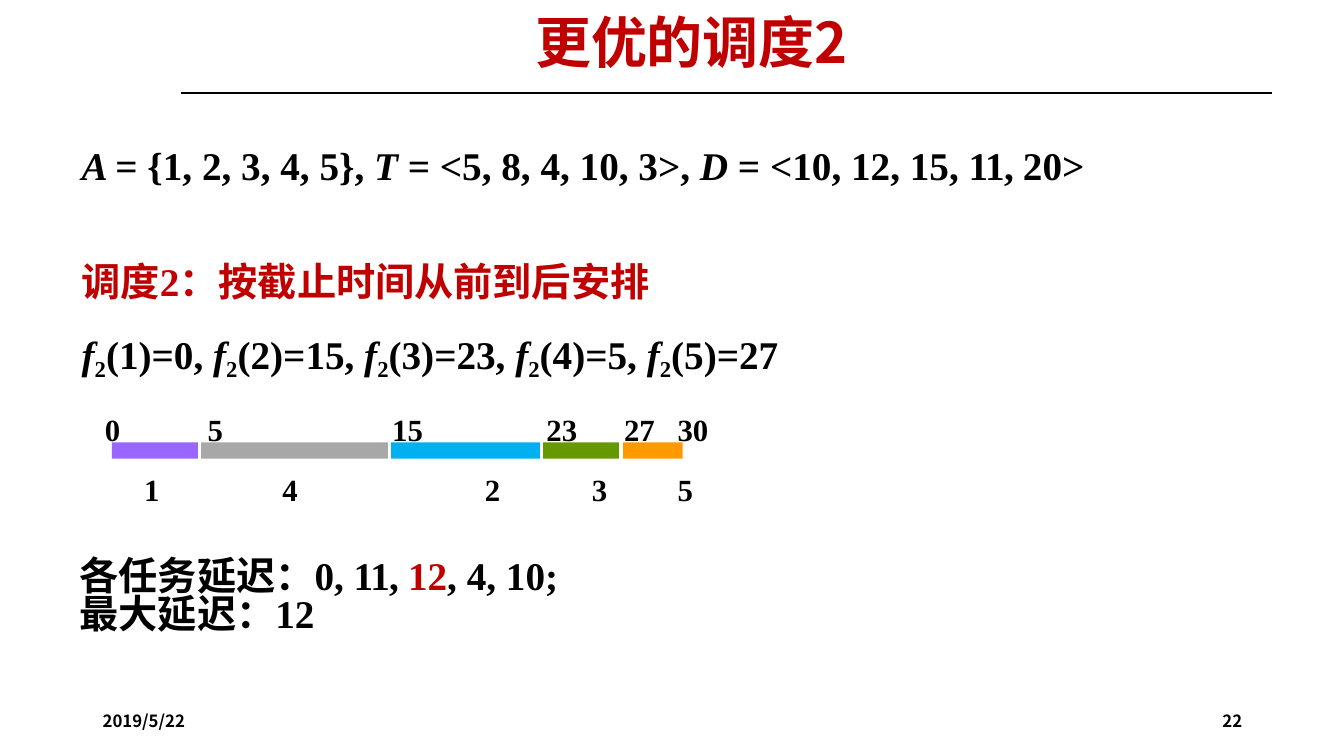
from itertools import pairwise
from lxml.etree import SubElement
from pptx import Presentation
from pptx.dml.color import RGBColor
from pptx.enum.shapes import MSO_CONNECTOR, MSO_SHAPE
from pptx.enum.text import MSO_ANCHOR, PP_ALIGN
from pptx.oxml.ns import qn
from pptx.util import Inches, Pt

SERIF = "Times New Roman"
SANS = "Noto Sans CJK SC"
RED = "C00000"


def color(value):
    return RGBColor.from_string(value)


def add_run(p, text, size=28, font=SERIF, fill="000000", italic=False, base=0, spc=0):
    r = p.add_run()
    r.text = text
    f = r.font
    f.size, f.bold, f.italic, f.name = Pt(size), True, italic, font
    f.color.rgb = color(fill)
    rPr = r._r.get_or_add_rPr()
    SubElement(rPr, qn("a:ea"), typeface=SANS)
    if base:
        rPr.set("baseline", str(base * 1000))
    if spc:
        rPr.set("spc", str(round(spc * 100)))


def add_paragraph(tf, runs, indent=0, line=None, before=0, align=PP_ALIGN.LEFT):
    p = tf.paragraphs[0] if not tf.paragraphs[0].runs else tf.add_paragraph()
    p.alignment = align
    p.space_before = Pt(before)
    if line:
        p.line_spacing = line
    pPr = p._p.get_or_add_pPr()
    pPr.set("marL", str(Inches(indent)))
    pPr.set("indent", "0")
    for text, fmt in runs:
        add_run(p, text, **fmt)


def add_text(s, x, y, w, h, margins=(0, 0, 0, 0), anchor=MSO_ANCHOR.TOP):
    tf = s.shapes.add_textbox(Inches(x), Inches(y), Inches(w), Inches(h)).text_frame
    tf.word_wrap = True
    tf.vertical_anchor = anchor
    tf.margin_left, tf.margin_top, tf.margin_right, tf.margin_bottom = map(Inches, margins)
    return tf


def add_line(s, x1, y1, x2, y2, stroke, width):
    line = s.shapes.add_connector(
        MSO_CONNECTOR.STRAIGHT, Inches(x1), Inches(y1), Inches(x2), Inches(y2))
    line.line.color.rgb = color(stroke)
    line.line.width = Pt(width)
    SubElement(line._element.spPr, qn("a:effectLst"))


def add_bar(s, left, right, fill):
    bar = s.shapes.add_shape(
        MSO_SHAPE.RECTANGLE, Inches(left), Inches(4.39), Inches(right - left), Inches(0.16))
    bar.shadow.inherit = False
    bar.fill.solid()
    bar.fill.fore_color.rgb = color(fill)
    bar.line.fill.background()


def add_labels(s, y, labels):
    for text, x in labels.items():
        tf = add_text(s, x, y, 0.4, 0.35)
        add_paragraph(tf, [(text, {"size": 22})])


def add_schedule(s):
    edges = [1.11, 1.98, 3.86, 5.37, 6.16, 6.77]
    fills = ["9966FF", "A7A8A7", "00B0F0", "669900", "FF9900"]
    for (left, right), fill in zip(pairwise(edges), fills):
        add_bar(s, left, right, fill)
    for x in edges[1:-1]:
        add_line(s, x, 4.36, x, 4.63, "FFFFFF", 2.28)
    add_labels(s, 4.07, {"0": 1.04, "5": 2.06, "15": 3.89, "23": 5.42, "27": 6.19, "30": 6.72})
    add_labels(s, 4.67, {"1": 1.43, "4": 2.8, "2": 4.81, "3": 5.87, "5": 6.72})


def add_body(s):
    tf = add_text(s, 0.78, 1.16, 11.81, 2.7, (0, 0.01, 0, 0))
    italic = {"italic": True}
    add_paragraph(tf, [
        ("A ", italic), ("= {1, 2, 3, 4, 5}, ", {}),
        ("T ", italic), ("= <5, 8, 4, 10, 3>, ", {}),
        ("D ", italic), ("= <10, 12, 15, ", {}), ("11, ", {"spc": -0.5}), ("20>", {}),
    ], indent=0.03, line=1.5)
    add_paragraph(tf, [("调度2：按截止时间从前到后安排", {"fill": RED})],
                  indent=0.03, line=1.5, before=32.2)
    starts = [0, 15, 23, 5, 27]
    formula = []
    for task, start in enumerate(starts, 1):
        end = ", " if task < len(starts) else ""
        formula += [("f", italic), ("2", {"base": -21}), (f"({task})={start}{end}", {})]
    add_paragraph(tf, formula, indent=0.03, line=1.5)


def add_delays(s):
    tf = add_text(s, 0.78, 5.56, 9.62, 0.76)
    colon = ("：", {"font": SANS})
    add_paragraph(tf, [
        ("各任务延迟", {}), colon, ("0, ", {}), ("11, ", {"spc": -0.5}),
        ("12", {"fill": RED}), (", 4, 10;", {}),
    ], indent=0.01, line=Pt(27.2))
    add_paragraph(tf, [("最大延迟", {}), colon, ("12", {})], indent=0.01, line=Pt(27.2))


def add_footer(s, x, text, align):
    tf = add_text(s, x, 6.95, 3, 0.4, (0.1, 0.05, 0.1, 0.05), MSO_ANCHOR.MIDDLE)
    add_paragraph(tf, [(text, {"size": 12, "font": SANS})], align=align)


def main():
    prs = Presentation()
    prs.slide_width, prs.slide_height = Inches(13.33), Inches(7.5)
    s = prs.slides.add_slide(prs.slide_layouts[6])
    add_line(s, 1.8, 0.92, 12.62, 0.92, "000000", 1.25)
    add_schedule(s)
    title = add_text(s, 5.3, 0.06, 3.85, 0.69, (0, 0.01, 0, 0))
    add_paragraph(title, [("更优的调度2", {"size": 40, "font": SANS, "fill": RED, "spc": -0.1})],
                  indent=0.01)
    add_delays(s)
    add_body(s)
    add_footer(s, 9.42, "22", PP_ALIGN.RIGHT)
    add_footer(s, 0.92, "2019/5/22", PP_ALIGN.LEFT)
    prs.save("out.pptx")


if __name__ == "__main__":
    main()
